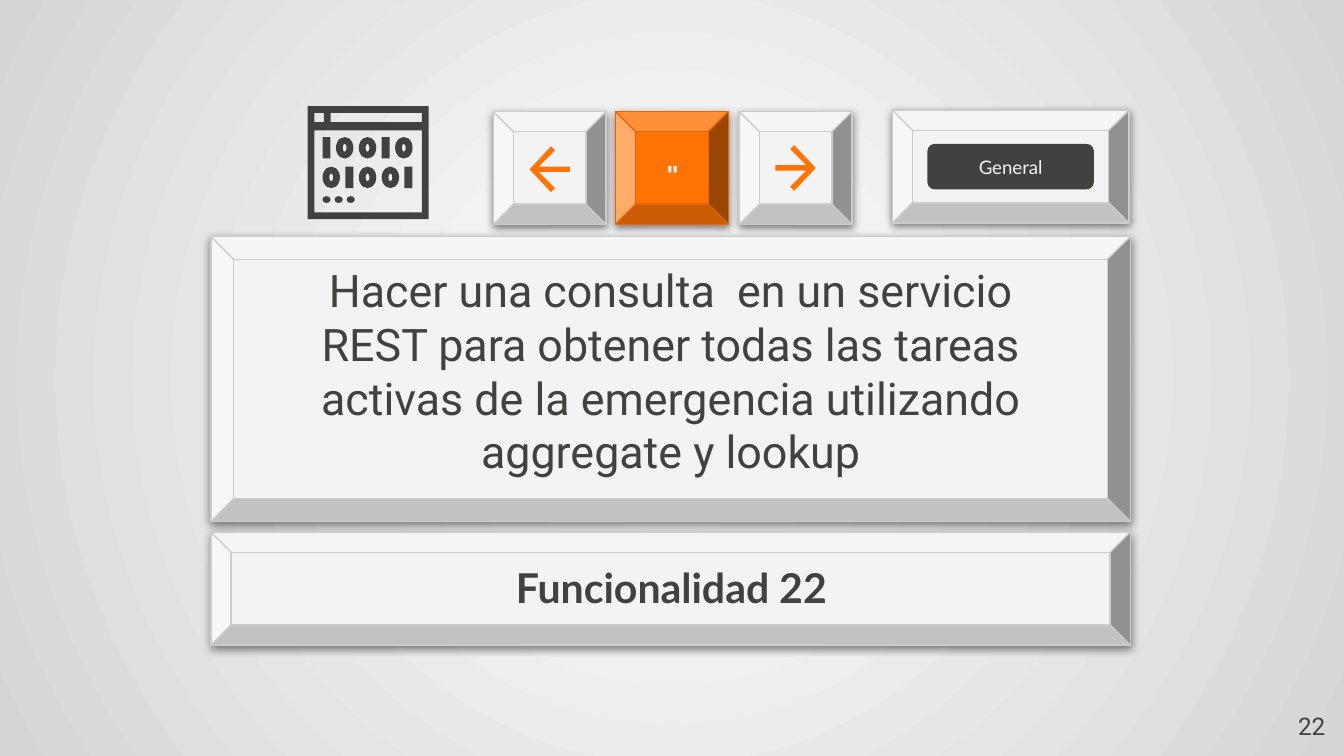
from dataclasses import dataclass

from lxml import etree
from pptx import Presentation
from pptx.dml.color import RGBColor
from pptx.enum.shapes import MSO_SHAPE
from pptx.enum.text import MSO_ANCHOR, MSO_AUTO_SIZE, PP_ALIGN
from pptx.oxml import parse_xml
from pptx.oxml.ns import nsdecls, qn
from pptx.util import Inches, Pt

BEVEL, RECTANGLE, ROUNDED = MSO_SHAPE.BEVEL, MSO_SHAPE.RECTANGLE, MSO_SHAPE.ROUNDED_RECTANGLE
OVAL, DONUT = MSO_SHAPE.OVAL, MSO_SHAPE.DONUT
TOP, MIDDLE = MSO_ANCHOR.TOP, MSO_ANCHOR.MIDDLE
CENTER, RIGHT = PP_ALIGN.CENTER, PP_ALIGN.RIGHT
FIXED_SIZE = MSO_AUTO_SIZE.NONE

COLORS = {
    "ink": "42413F",
    "key": "F3F3F3",
    "key_edge": "CCCCCC",
    "accent": "FF7307",
    "accent_edge": "E46503",
    "glow": "FFFFFF",
    "backdrop": "D6D6D6",
}


@dataclass(frozen=True)
class Box:
    left: float
    top: float
    width: float
    height: float

    def lengths(self) -> list:
        return [Inches(v) for v in (self.left, self.top, self.width, self.height)]


@dataclass(frozen=True)
class Key:
    box: Box
    edge: float = 0.15
    fill: str = "key"
    line: str = "key_edge"


@dataclass(frozen=True)
class Style:
    font: str
    size: float
    color: str = "ink"
    bold: bool = False
    align: int = CENTER
    anchor: int = MIDDLE
    inset: float = 0.1


def rgb(name: str) -> RGBColor:
    return RGBColor.from_string(COLORS[name])


def write(shape, text: str, style: Style):
    """Put styled text in a shape and return its run."""
    frame = shape.text_frame
    frame.text = text
    frame.word_wrap = True
    frame.auto_size = FIXED_SIZE
    frame.vertical_anchor = style.anchor
    frame.margin_left = frame.margin_right = Inches(style.inset)
    frame.margin_top = frame.margin_bottom = Inches(style.inset)
    para = frame.paragraphs[0]
    para.alignment = style.align
    span = para.runs[0]
    span.font.name = style.font
    span.font.size = Pt(style.size)
    span.font.bold = style.bold
    span.font.color.rgb = rgb(style.color)
    return span


def add_text(shapes, box: Box, text: str, style: Style):
    return write(shapes.add_textbox(*box.lengths()), text, style)


def paint(shape, color: str):
    shape.shadow.inherit = False
    shape.fill.solid()
    shape.fill.fore_color.rgb = rgb(color)
    shape.line.fill.background()
    return shape


def add_plain(shapes, kind: int, box: Box, color: str):
    return paint(shapes.add_shape(kind, *box.lengths()), color)


def add_key(shapes, key: Key) -> None:
    """Draw a bevelled keyboard key with a soft shadow below it."""
    shape = add_plain(shapes, BEVEL, key.box, key.fill)
    shape.adjustments[0] = key.edge / key.box.height
    shape.line.color.rgb = rgb(key.line)
    shape.line.width = Pt(0.75)
    effects = shape._element.spPr.find(qn("a:effectLst"))
    effects.append(parse_xml(
        f'<a:outerShdw {nsdecls("a")} blurRad="{Pt(4.5)}" dist="{Pt(1.5)}" dir="5400000" '
        'algn="bl" rotWithShape="0"><a:srgbClr val="000000"><a:alpha val="50000"/>'
        '</a:srgbClr></a:outerShdw>'))


def add_outline(shapes, contours: list, color: str) -> None:
    """Draw closed contours whose points are in hundredths of an inch."""
    builder = shapes.build_freeform(*contours[0][0], scale=Inches(0.01))
    for index, points in enumerate(contours):
        if index:
            builder.move_to(*points[0])
        builder.add_line_segments(points[1:], close=True)
    paint(builder.convert_to_shape(), color)


def add_arrow(shapes, tip_x: int, tip_y: int, direction: int) -> None:
    """Draw an arrow from its tip; direction is 1 (right) or -1 (left)."""
    upper = [(0, 0), (-16, -17), (-19, -14), (-7, -2), (-30, -2)]
    lower = [(x, -y) for x, y in reversed(upper[1:])]
    points = [(tip_x + direction * x, tip_y + y) for x, y in upper + lower]
    add_outline(shapes, [points], "accent")


def add_code_window(shapes) -> None:
    """Draw the icon of a window filled with binary digits."""
    frame = [(229, 79), (229, 163), (319, 163), (319, 79)]
    panes = [(234, 84, 241, 91), (246, 84, 314, 91), (234, 97, 314, 158)]
    holes = [[(x1, y1), (x2, y1), (x2, y2), (x1, y2)] for x1, y1, x2, y2 in panes]
    add_outline(shapes, [frame, *holes], "ink")

    # Two rows of digits, spaced by the width of each digit
    widths = {"1": 0.06, "0": 0.13}
    for digits, top in (("10010", 1.02), ("01001", 1.24)):
        left = 2.4
        for digit in digits:
            box = Box(left, top, widths[digit], 0.16)
            shape = add_plain(shapes, DONUT if digit == "0" else RECTANGLE, box, "ink")
            if digit == "0":
                shape.adjustments[0] = 0.39
            left += widths[digit] + 0.04

    for column in range(3):
        add_plain(shapes, OVAL, Box(2.4 + 0.09 * column, 1.46, 0.06, 0.05), "ink")


def set_background(page) -> None:
    """Fill the page with a gradient that spreads from its centre."""
    fill = page.background.fill
    fill.gradient()
    for stop, name in zip(fill.gradient_stops, ("glow", "backdrop")):
        stop.color.rgb = rgb(name)
    fill.gradient_stops[0].position = 0
    fill.gradient_stops[1].position = 1
    gradient = page._element.find(".//" + qn("a:gradFill"))
    gradient.remove(gradient.find(qn("a:lin")))
    spread = etree.SubElement(gradient, qn("a:path"), path="circle")
    etree.SubElement(spread, qn("a:fillToRect"), l="50000", t="50000", r="50000", b="50000")


def main() -> None:
    deck = Presentation()
    deck.slide_width = Inches(10)
    deck.slide_height = deck.slide_width * 9 // 16
    page = deck.slides.add_slide(deck.slide_layouts[5])
    shapes = page.shapes
    set_background(page)

    # Panels and keys
    keys = [
        Key(Box(1.57, 1.76, 6.84, 2.12), edge=0.17),
        Key(Box(1.57, 3.96, 6.84, 0.84)),
        Key(Box(3.67, 0.83, 0.84, 0.84)),
        Key(Box(4.58, 0.83, 0.84, 0.84), fill="accent", line="accent_edge"),
        Key(Box(5.5, 0.83, 0.84, 0.84)),
        Key(Box(6.64, 0.82, 1.76, 0.84)),
    ]
    for key in keys:
        add_key(shapes, key)
    add_arrow(shapes, 394, 126, -1)
    add_arrow(shapes, 607, 125, 1)

    # Quotation mark with an outline
    quote = add_text(shapes, Box(4.82, 1.13, 0.37, 0.25), '"',
                     Style("Arial", 14, "key", bold=True, anchor=TOP, inset=0.05))
    quote.font._element.insert(0, parse_xml(
        f'<a:ln {nsdecls("a")} w="{Pt(0.75)}"><a:solidFill>'
        f'<a:srgbClr val="{COLORS["key"]}"/></a:solidFill></a:ln>'))

    add_code_window(shapes)

    # Category label
    label = add_plain(shapes, ROUNDED, Box(6.9, 1.07, 1.24, 0.34), "ink")
    write(label, "General", Style("Lato", 10, "key"))

    # Description, title and page number
    add_text(shapes, Box(1.93, 1.95, 6.12, 1.61),
             "Hacer una consulta  en un servicio REST para obtener todas las tareas "
             "activas de la emergencia utilizando aggregate y lookup", Style("Roboto", 24))
    title = shapes.title
    title.left, title.top, title.width, title.height = Box(3.19, 4.09, 3.61, 0.56).lengths()
    write(title, "Funcionalidad 22", Style("Lato", 22, bold=True))
    shapes._spTree.append(title._element)  # bring in front of its panel
    add_text(shapes, Box(9.36, 5.19, 0.6, 0.43), "22",
             Style("Roboto", 13, align=RIGHT, anchor=TOP))

    deck.save("out.pptx")


if __name__ == "__main__":
    main()
